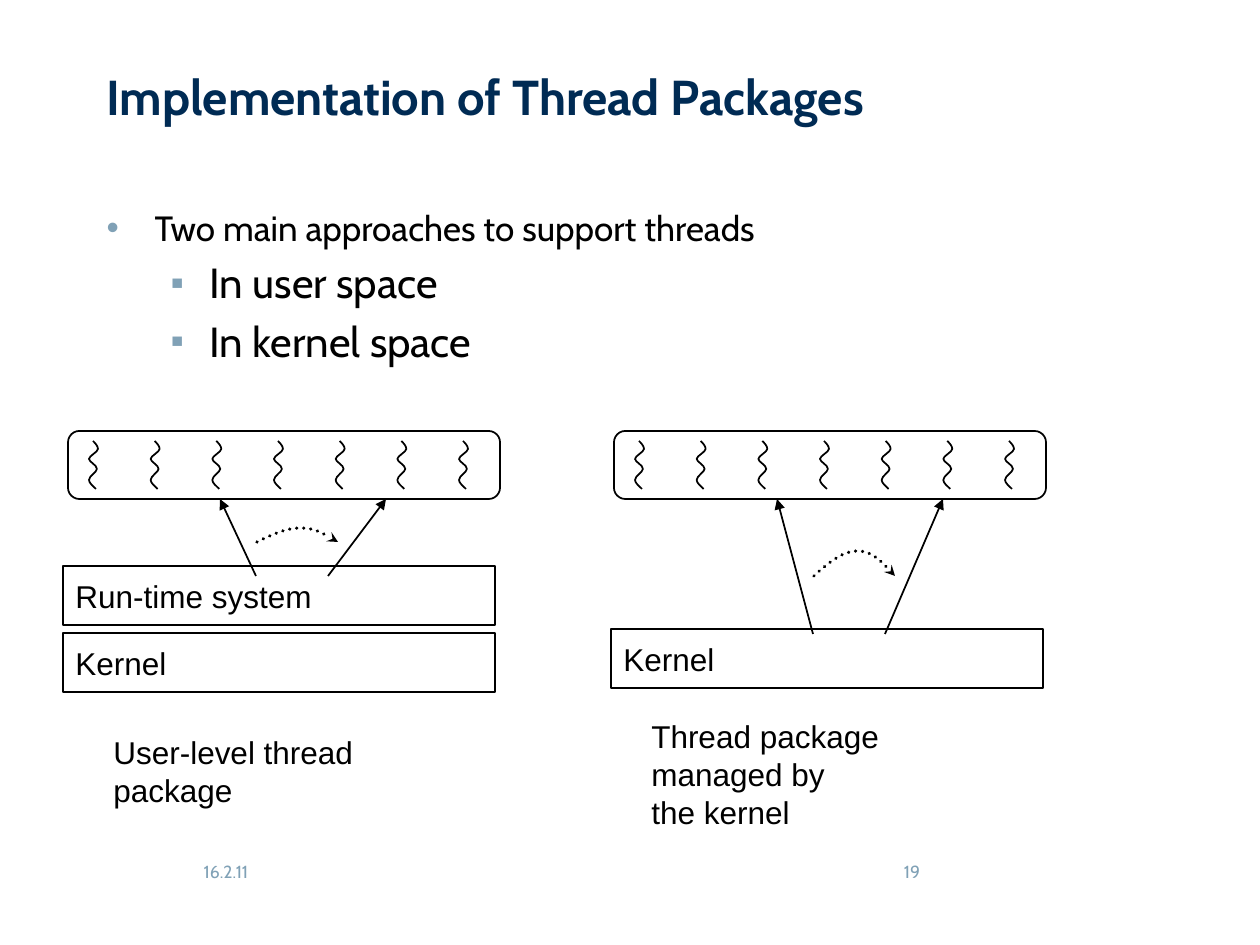
from lxml import etree
from pptx import Presentation
from pptx.dml.color import RGBColor
from pptx.enum.dml import MSO_LINE
from pptx.enum.shapes import MSO_CONNECTOR, MSO_SHAPE
from pptx.enum.text import MSO_ANCHOR, MSO_AUTO_SIZE, PP_ALIGN
from pptx.oxml.ns import qn
from pptx.util import Inches, Pt

NAVY = RGBColor(0x00, 0x2B, 0x54)
STEEL = RGBColor(0x80, 0xA1, 0xB6)
BLACK = RGBColor(0x00, 0x00, 0x00)
DOTTED = MSO_LINE.ROUND_DOT
STRAIGHT = MSO_CONNECTOR.STRAIGHT
RECT, ROUNDED = MSO_SHAPE.RECTANGLE, MSO_SHAPE.ROUNDED_RECTANGLE
TOP, MIDDLE = MSO_ANCHOR.TOP, MSO_ANCHOR.MIDDLE
NO_FIT = MSO_AUTO_SIZE.NONE
LEFT, CENTER = PP_ALIGN.LEFT, PP_ALIGN.CENTER
CABIN, ARIAL = "Cabin", "Arial"

PX_PER_INCH = 126
PANEL_W, POOL_H, LAYER_H = 432, 68, 59
THREAD_COUNT, THREAD_SPAN = 7, 370
THREAD_CURVE = [(4, 0), (6, 2), (9, 5), (9, 8), (9, 11), (0, 15), (0, 18),
                (0, 21), (8, 24), (8, 28), (8, 31), (0, 35), (0, 39),
                (0, 42), (4, 45), (7, 48)]


def px(n):
    return Inches(n / PX_PER_INCH)


def place(sp, x, y, w, h):
    sp.left, sp.top, sp.width, sp.height = px(x), px(y), px(w), px(h)


def write(p, text, font=ARIAL, size=18, color=BLACK, bold=False, align=LEFT):
    p.text = text
    p.alignment = align
    for r in p.runs:
        r.font.name, r.font.size, r.font.bold = font, Pt(size), bold
        r.font.color.rgb = color


def set_bullet(p, char, size, margin, indent):
    pPr = p._p.get_or_add_pPr()
    pPr.set("marL", str(px(margin)))
    pPr.set("indent", str(px(-indent)))
    clr = etree.SubElement(pPr, qn("a:buClr"))
    etree.SubElement(clr, qn("a:srgbClr")).set("val", str(STEEL))
    etree.SubElement(pPr, qn("a:buSzPct")).set("val", str(size * 1000))
    etree.SubElement(pPr, qn("a:buFont")).set("typeface", ARIAL)
    etree.SubElement(pPr, qn("a:buChar")).set("char", char)


def set_line(sp, width=1, head=None):
    sp.line.color.rgb = BLACK
    sp.line.width = Pt(width)
    if head:
        ln = sp.line._get_or_add_ln()
        etree.SubElement(ln, qn("a:tailEnd")).set("type", head)


def add_text(s, text, x, y, w, h, insets=None, **fmt):
    sp = s.shapes.add_textbox(px(x), px(y), px(w), px(h))
    tf = sp.text_frame
    tf.word_wrap = True
    if insets:
        tf.margin_left, tf.margin_top, tf.margin_right, tf.margin_bottom = map(px, insets)
    write(tf.paragraphs[0], text, **fmt)


def add_box(s, kind, x, y, w, h, text=""):
    sp = s.shapes.add_shape(kind, px(x), px(y), px(w), px(h))
    sp.shadow.inherit = False
    sp.fill.background()
    set_line(sp)
    if text:
        sp.text_frame.word_wrap = False
        sp.text_frame.vertical_anchor = MIDDLE
        write(sp.text_frame.paragraphs[0], text)


def add_arrow(s, x1, y1, x2, y2):
    c = s.shapes.add_connector(STRAIGHT, px(x1), px(y1), px(x2), px(y2))
    set_line(c, head="triangle")
    etree.SubElement(c._element.spPr, qn("a:effectLst"))


def bend_segments(sp):
    segments = list(sp._element.iter(qn("a:lnTo")))
    for i in range(0, len(segments), 3):
        curve = etree.Element(qn("a:cubicBezTo"))
        segments[i].addprevious(curve)
        for segment in segments[i:i + 3]:
            curve.append(segment[0])
            segment.getparent().remove(segment)


def add_curve(s, x, y, knots, width=1, head=None, dash=None):
    points = [(px(x + dx), px(y + dy)) for dx, dy in knots]
    fb = s.shapes.build_freeform(*points[0])
    fb.add_line_segments(points[1:], close=False)
    sp = fb.convert_to_shape()
    bend_segments(sp)
    sp.shadow.inherit = False
    sp.fill.background()
    if dash:
        sp.line.dash_style = dash
        sp.line._get_or_add_ln().set("cap", "rnd")
    set_line(sp, width, head)


def add_title(s, x, y, w, h):
    sp = s.shapes.title
    place(sp, x, y, w, h)
    tf = sp.text_frame
    tf.vertical_anchor = TOP
    tf.auto_size = NO_FIT
    write(tf.paragraphs[0], "Implementation of Thread Packages",
          font=CABIN, size=28, color=NAVY, bold=True)


def add_approaches(s, x, y, w, h):
    sp = s.placeholders[1]
    place(sp, x, y, w, h)
    tf = sp.text_frame
    tf.auto_size = NO_FIT
    items = [("Two main approaches to support threads", 0),
             ("In user space", 1), ("In kernel space", 1)]
    styles = [("•", 100, 48, 48, 20), ("▪", 90, 103, 39, 24)]
    for i, (text, level) in enumerate(items):
        p = tf.add_paragraph() if i else tf.paragraphs[0]
        char, bullet_size, margin, indent, size = styles[level]
        p.level = level
        set_bullet(p, char, bullet_size, margin, indent)
        p.space_before = Pt(0.2 * size if i else 0)
        write(p, text, font=CABIN, size=size)


def add_thread_panel(s, x, y, layers, layer_x, fan_x, foot_y, arc_y, arc_rise,
                     caption, caption_box):
    for text, layer_y in layers:
        add_box(s, RECT, x + layer_x, y + layer_y, PANEL_W, LAYER_H, text)
    for foot, tip in ((36, 0), (108, 166)):
        add_arrow(s, x + fan_x + foot, y + foot_y, x + fan_x + tip, y + POOL_H)
    arc = [(0, 0), (14, -arc_rise // 2), (29, -arc_rise), (43, -arc_rise),
           (57, -arc_rise), (69, -arc_rise // 2), (81, 0)]
    add_curve(s, x + fan_x + 37, y + arc_y, arc, 2, "stealth", DOTTED)
    dx, dy, w, h = caption_box
    add_text(s, caption, x + dx, y + dy, w, h)
    for i in range(THREAD_COUNT):
        thread_x = x + 21 + i * THREAD_SPAN / (THREAD_COUNT - 1)
        add_curve(s, thread_x, y + 10, THREAD_CURVE)
    add_box(s, ROUNDED, x, y, PANEL_W, POOL_H)


def add_footer(s, x, y, w, h):
    fmt = dict(font=CABIN, size=10, color=STEEL)
    add_text(s, "16.2.11", x, y, 262, h, insets=(13, 0, 13, 0), align=CENTER, **fmt)
    add_text(s, "19", x + w - 262, y, 262, h, insets=(0, 0, 13, 0), **fmt)


def main():
    prs = Presentation()
    prs.slide_width, prs.slide_height = px(1260), px(945)
    s = prs.slides.add_slide(prs.slide_layouts[1])
    add_title(s, 94, 60, 1071, 101)
    add_approaches(s, 94, 200, 1071, 241)
    add_thread_panel(s, 68, 431, [("Kernel", 202), ("Run-time system", 135)],
                     layer_x=-5, fan_x=152, foot_y=145, arc_y=111, arc_rise=14,
                     caption="User-level thread package",
                     caption_box=(33, 296, 353, 46))
    add_thread_panel(s, 614, 431, [("Kernel", 198)],
                     layer_x=-3, fan_x=163, foot_y=203, arc_y=145, arc_rise=25,
                     caption="Thread package managed by\nthe kernel",
                     caption_box=(25, 280, 389, 81))
    add_footer(s, 95, 861, 1071, 63)
    prs.save("out.pptx")


if __name__ == "__main__":
    main()
